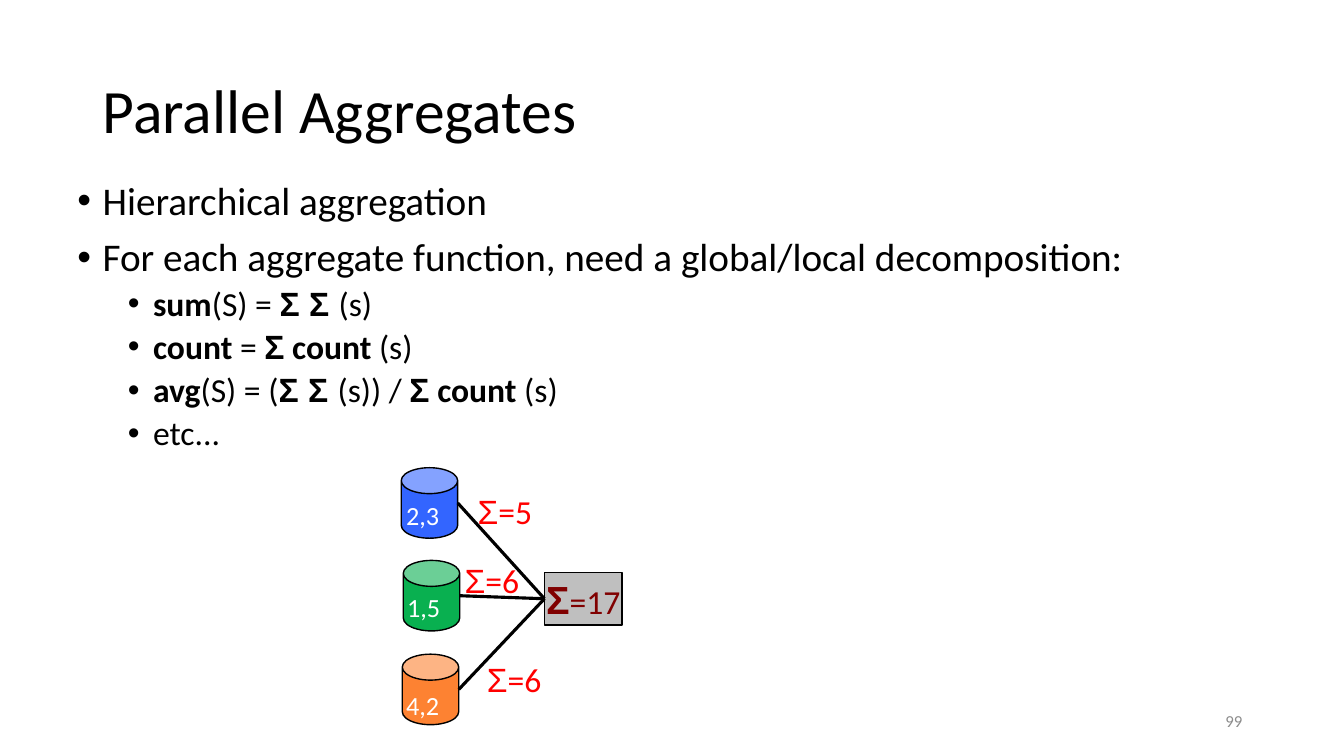
from lxml import etree
from pptx import Presentation
from pptx.dml.color import RGBColor
from pptx.enum.shapes import MSO_CONNECTOR, MSO_SHAPE
from pptx.enum.text import MSO_ANCHOR, PP_ALIGN
from pptx.oxml.ns import qn
from pptx.util import Inches, Pt

CAN, RECT = MSO_SHAPE.CAN, MSO_SHAPE.RECTANGLE
LINE = MSO_CONNECTOR.STRAIGHT
TOP, MIDDLE = MSO_ANCHOR.TOP, MSO_ANCHOR.MIDDLE
LEFT, CENTER, RIGHT = PP_ALIGN.LEFT, PP_ALIGN.CENTER, PP_ALIGN.RIGHT


def color(code):
    return RGBColor.from_string(code)


class Deck:
    face, greek, ink = "Calibri", "Arial", "000000"

    def __init__(self):
        self.prs = Presentation()
        self.prs.slide_width = Inches(13.33)
        self.prs.slide_height = Inches(7.5)
        self.slide = self.prs.slides.add_slide(self.prs.slide_layouts[6])

    def fill_par(self, par, runs, size, ink, align=LEFT):
        """Runs are (text, bold) or (text, bold, size); sigmas use the Greek face."""
        par.alignment = align
        par.font.size = Pt(size)
        par.font.color.rgb = color(ink)
        faces = [self.greek if "Σ" in run[0] else self.face for run in runs]
        bolds = [run[1] for run in runs]
        if len(set(faces)) == 1:
            par.font.name = faces[0]
        if len(set(bolds)) == 1:
            par.font.bold = bolds[0]
        for (words, bold, *own), face in zip(runs, faces):
            run = par.add_run()
            run.text = words
            if len(set(faces)) > 1:
                run.font.name = face
            if len(set(bolds)) > 1:
                run.font.bold = bold
            if own:
                run.font.size = Pt(own[0])

    def text(self, box, runs, size, ink=ink, align=LEFT, anchor=TOP, wrap=False):
        frame = self.slide.shapes.add_textbox(*map(Inches, box)).text_frame
        frame.word_wrap = wrap
        frame.vertical_anchor = anchor
        self.fill_par(frame.paragraphs[0], runs, size, ink, align)
        return frame

    def bullets(self, box, items):
        frame = self.slide.shapes.add_textbox(*map(Inches, box)).text_frame
        frame.word_wrap = True
        for i, (level, runs) in enumerate(items):
            par = frame.add_paragraph() if i else frame.paragraphs[0]
            par.level = level
            par.line_spacing = 0.9
            par.space_before = Pt((10, 5)[level] if i else 0)
            props = par._p.get_or_add_pPr()
            props.set("marL", str(Inches(0.25 + 0.5 * level)))
            props.set("indent", str(Inches(-0.25)))
            etree.SubElement(props, qn("a:buFont")).set("typeface", "Arial")
            etree.SubElement(props, qn("a:buChar")).set("char", "•")
            self.fill_par(par, runs, (28, 24)[level], self.ink)

    def shape(self, kind, box, fill):
        item = self.slide.shapes.add_shape(kind, *map(Inches, box))
        item.shadow.inherit = False
        item.fill.solid()
        item.fill.fore_color.rgb = color(fill)
        item.line.color.rgb = color(self.ink)
        item.line.width = Pt(1)
        return item

    def link(self, start, end, box):
        """Draw a line that ends at the left side of a box."""
        line = self.slide.shapes.add_connector(LINE, *map(Inches, start + end))
        line.end_connect(box, 1)
        line.line.color.rgb = color(self.ink)
        line.line.width = Pt(2.25)
        etree.SubElement(line._element.spPr, qn("a:effectLst"))


def main():
    deck = Deck()

    # Title and bullets
    title = deck.text((0.92, 0.4, 11.5, 1.45), [("Parallel Aggregates", False)],
                      44, anchor=MIDDLE, wrap=True)
    title.paragraphs[0].line_spacing = 0.9
    deck.bullets((0.67, 1.75, 15.44, 4.95), [
        (0, [("Hierarchical aggregation", False)]),
        (0, [("For each aggregate function, need a global/local decomposition:",
              False)]),
        (1, [("sum", True), ("(S) = ", False), ("Σ Σ ", True), ("(s)", False)]),
        (1, [("count ", True), ("= ", False), ("Σ", True), (" count ", True),
             ("(s)", False)]),
        (1, [("avg", True), ("(S) = (", False), ("Σ Σ ", True),
             ("(s)) / ", False), ("Σ", True), (" count ", True),
             ("(s)", False)]),
        (1, [("etc...", False)]),
    ])

    # Global sum
    total = deck.shape(RECT, (5.4, 5.68, 0.77, 0.52), "BFBFBF")
    frame = total.text_frame
    frame.word_wrap = False
    frame.vertical_anchor = MIDDLE
    deck.fill_par(frame.paragraphs[0], [("Σ", True, 28), ("=17", False)],
                  24, "800000", CENTER)

    # Local stores: can place, fill, data place, data, sum place, sum
    stores = [
        (3.98, 4.64, "3365FF", 3.93, 4.9, "2,3", 4.64, 4.82, "=5"),
        (4, 5.56, "09B050", 3.94, 5.82, "1,5", 4.51, 5.51, "=6"),
        (3.99, 6.49, "FD8232", 3.93, 6.79, "4,2", 4.73, 6.49, "=6"),
    ]
    for x, y, fill, datax, datay, data, sumx, sumy, value in stores:
        can = deck.shape(CAN, (x, y, 0.56, 0.7), fill)
        can.adjustments[0] = 0.46
        deck.link((x + 0.56, y + 0.35), (5.4, 5.94), total)
        deck.text((sumx, sumy, 0.74, 0.5), [("Σ", False), (value, False)],
                  24, "FF0000")
        deck.text((datax, datay, 0.53, 0.42), [(data, False)], 18.7, "FFFFFF")

    # Slide number
    deck.text((9.42, 6.95, 3, 0.4), [("99", False)], 12, "8C8C8C",
              RIGHT, MIDDLE, True)

    deck.prs.save("out.pptx")


if __name__ == "__main__":
    main()
